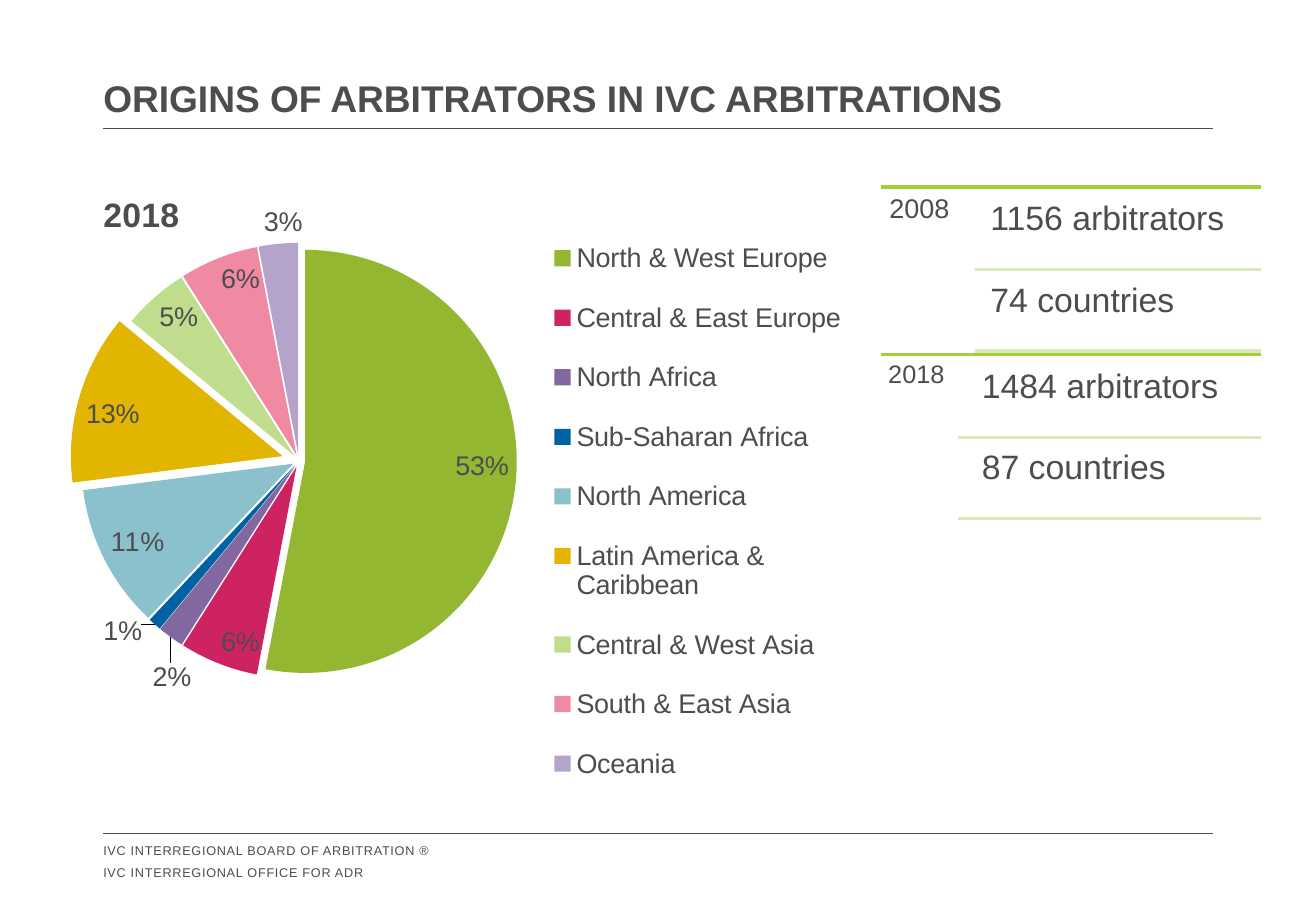
from dataclasses import dataclass

from lxml.etree import SubElement
from pptx import Presentation
from pptx.chart.data import CategoryChartData
from pptx.dml.color import RGBColor
from pptx.enum.chart import XL_CHART_TYPE as Kind
from pptx.enum.chart import XL_LABEL_POSITION as Spot
from pptx.enum.chart import XL_LEGEND_POSITION as Side
from pptx.enum.shapes import MSO_CONNECTOR as Conn
from pptx.enum.text import MSO_ANCHOR as Anchor
from pptx.enum.text import MSO_AUTO_SIZE as Auto
from pptx.enum.text import PP_ALIGN as Align
from pptx.oxml import parse_xml
from pptx.oxml.ns import nsdecls, qn
from pptx.util import Emu, Pt

INK = RGBColor(0x4D, 0x4D, 0x4F)
GREEN = RGBColor(0xA6, 0xCE, 0x37)
PALE = RGBColor(0xD8, 0xE8, 0xBF)
FACE = "Arial"


@dataclass
class Slice:
    name: str
    share: float
    color: RGBColor
    burst: int = 3  # distance from the centre, percent
    shift: tuple[float, float] | None = None  # moves an outside label


@dataclass
class Year:
    name: str
    top: int
    size: int
    pad: int
    rule: int  # left end of the pale rules
    left: int  # left edge of the facts
    facts: tuple[str, str]


SLICES = [
    Slice("North & West Europe", 0.53, RGBColor(0x93, 0xB7, 0x31)),
    Slice("Central & East Europe", 0.06, RGBColor(0xCD, 0x23, 0x63)),
    Slice("North Africa", 0.02, RGBColor(0x83, 0x67, 0xA0), shift=(0.03, 0.03)),
    Slice("Sub-Saharan Africa", 0.01, RGBColor(0x00, 0x62, 0xA3), shift=(-0.01, -0.02)),
    Slice("North America", 0.11, RGBColor(0x8A, 0xC1, 0xCD)),
    Slice("Latin America & Caribbean", 0.13, RGBColor(0xE2, 0xB6, 0x00), burst=8),
    Slice("Central & West Asia", 0.05, RGBColor(0xC0, 0xDC, 0x8D)),
    Slice("South & East Asia", 0.06, RGBColor(0xEF, 0x8A, 0xA2)),
    Slice("Oceania", 0.03, RGBColor(0xB4, 0xA3, 0xCA), shift=(0.03, 0)),
]
YEARS = [
    Year("2008", 154, 16, 7, 802, 807, ("1156 arbitrators", "74 countries")),
    Year("2018", 292, 15, 6, 788, 800, ("1484 arbitrators", "87 countries")),
]


def px(n: int) -> Emu:
    return Emu(n * 9144)


def style(font, size: float, bold: bool = False) -> None:
    font.name, font.size, font.bold = FACE, Pt(size), bold
    font.color.rgb = INK


def rule(x1: int, x2: int, y: int, color: RGBColor, width: float) -> None:
    line = slide.shapes.add_connector(Conn.STRAIGHT, px(x1), px(y), px(x2), px(y))
    line.line.color.rgb = color
    line.line.width = Pt(width)
    SubElement(line._element.spPr, qn("a:effectLst"))


def frame(box: tuple[int, int, int, int], pads: tuple[int, int, int, int]):
    tf = slide.shapes.add_textbox(*map(px, box)).text_frame
    tf.word_wrap = True
    tf.margin_left, tf.margin_top, tf.margin_right, tf.margin_bottom = map(px, pads)
    return tf


def label(text: str, box: tuple[int, int, int, int], size: int, pad: int) -> None:
    para = frame(box, (pad,) * 4).paragraphs[0]
    para.text = text
    para.line_spacing = 0.9
    style(para.font, size)


def place(node, index: int, x: float, y: float, size: tuple[float, float] | None = None,
          edge: bool = True, inner: bool = False) -> None:
    """Give a chart part a manual layout, as fractions of the chart."""
    for old in node.findall(qn("c:layout")):
        node.remove(old)
    tags = [("layoutTarget", "inner")] if inner else []
    if edge:
        tags += [("xMode", "edge"), ("yMode", "edge")]
    tags += [("x", x), ("y", y)]
    if size:
        tags += [("w", size[0]), ("h", size[1])]
    body = "".join(f'<c:{tag} val="{val}"/>' for tag, val in tags)
    node.insert(index, parse_xml(
        f'<c:layout {nsdecls("c")}><c:manualLayout>{body}</c:manualLayout></c:layout>'))


def explode(node, percent: int) -> None:
    mark = parse_xml(f'<c:explosion {nsdecls("c")} val="{percent}"/>')
    node.find(qn("c:spPr")).addprevious(mark)


def draw_pie() -> None:
    data = CategoryChartData(number_format="0%")
    data.categories = [s.name for s in SLICES]
    data.add_series("Series 1", [s.share for s in SLICES])
    chart = slide.shapes.add_chart(
        Kind.PIE, px(53), px(115), px(677), px(551), data).chart
    style(chart.font, 18)
    plot = chart.plots[0]
    plot.vary_by_categories = True

    # Chart title, legend and plot area
    chart.has_title = True
    head = chart.chart_title.text_frame.paragraphs[0]
    head.text = "2018"
    style(head.font, 20, True)
    chart.has_legend = True
    chart.legend.position = Side.RIGHT
    chart.legend.include_in_layout = False
    style(chart.legend.font, 16)
    root = chart._chartSpace.chart
    place(root.find(qn("c:title")), 1, 0.04, 0.07)
    place(root.find(qn("c:legend")), 1, 0.58, 0.11, (0.38, 0.89))
    place(root.find(qn("c:plotArea")), 0, 0.02, 0.12, (0.53, 0.72), inner=True)

    # Slices and their labels
    series = plot.series[0]
    series.format.line.fill.background()
    explode(series._element, 3)
    tags = series.data_labels
    tags.show_value = True
    tags.number_format, tags.number_format_is_linked = "0%", False
    tags.position = Spot.INSIDE_END
    style(tags.font, 16)
    for i, part in enumerate(SLICES):
        point = series.points[i]
        point.format.fill.solid()
        point.format.fill.fore_color.rgb = part.color
        point.format.line.fill.background()
        explode(series._element.findall(qn("c:dPt"))[i], part.burst)
        if part.shift:
            tag = point.data_label
            style(tag.font, 16)
            tag.position = Spot.OUTSIDE_END
            node = tags._element.findall(qn("c:dLbl"))[-1]
            place(node, 1, *part.shift, edge=False)


def draw_year(year: Year) -> None:
    rule(725, 1038, year.top, GREEN, 2)
    label(year.name, (725, year.top, 77, 138), year.size, year.pad)
    for i, fact in enumerate(year.facts):
        top = year.top + 4 + 67 * i
        label(fact, (year.left, top, 231, 64), 20, 8)
        rule(year.rule, 1038, top + 64, PALE, 2)


prs = Presentation()
prs.slide_width, prs.slide_height = px(1083), px(750)
slide = prs.slides.add_slide(prs.slide_layouts[5])

# Title
title = slide.shapes.title
title.left, title.top, title.width, title.height = map(px, (85, 60, 914, 39))
tf = title.text_frame
tf.text = "ORIGINS OF ARBITRATORS IN IVC ARBITRATIONS"
tf.auto_size = Auto.NONE
tf.vertical_anchor = Anchor.BOTTOM
tf.margin_left = tf.margin_top = tf.margin_right = tf.margin_bottom = 0
tf.paragraphs[0].alignment = Align.LEFT
style(tf.paragraphs[0].font, 22, True)

# Head and foot rules
for y in (106, 686):
    rule(85, 998, y, INK, 0.5)

# Footer
foot = frame((85, 690, 268, 37), (0, 4, 0, 0))
foot.text = "IVC INTERREGIONAL BOARD OF ARBITRATION ®\nIVC INTERREGIONAL OFFICE FOR ADR"
for para in foot.paragraphs:
    style(para.font, 7.5)
    para.runs[0].font._element.set("spc", "40")
foot.paragraphs[1].space_before = Pt(4)

# Pie chart and yearly figures
draw_pie()
for year in YEARS:
    draw_year(year)

prs.save("out.pptx")
